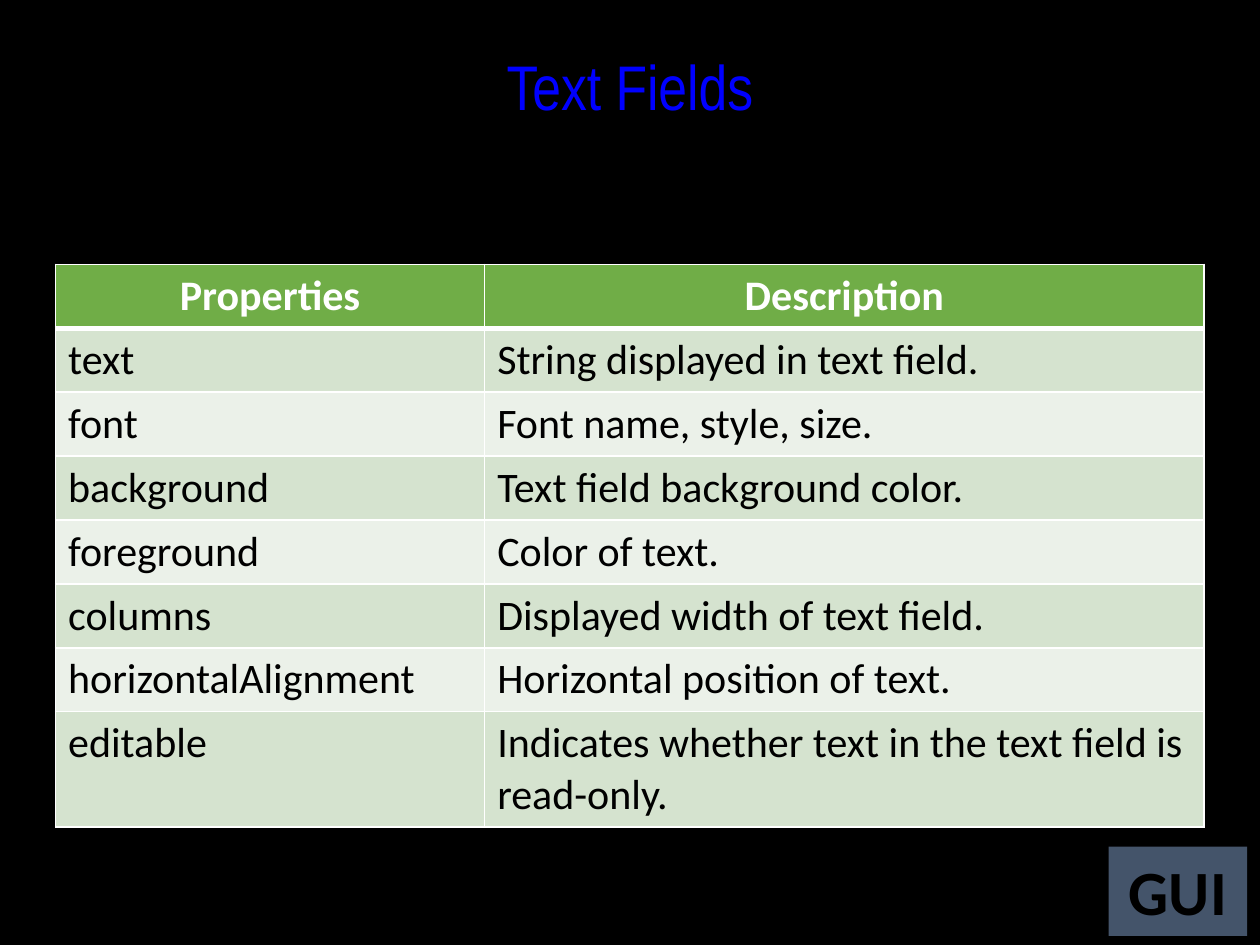
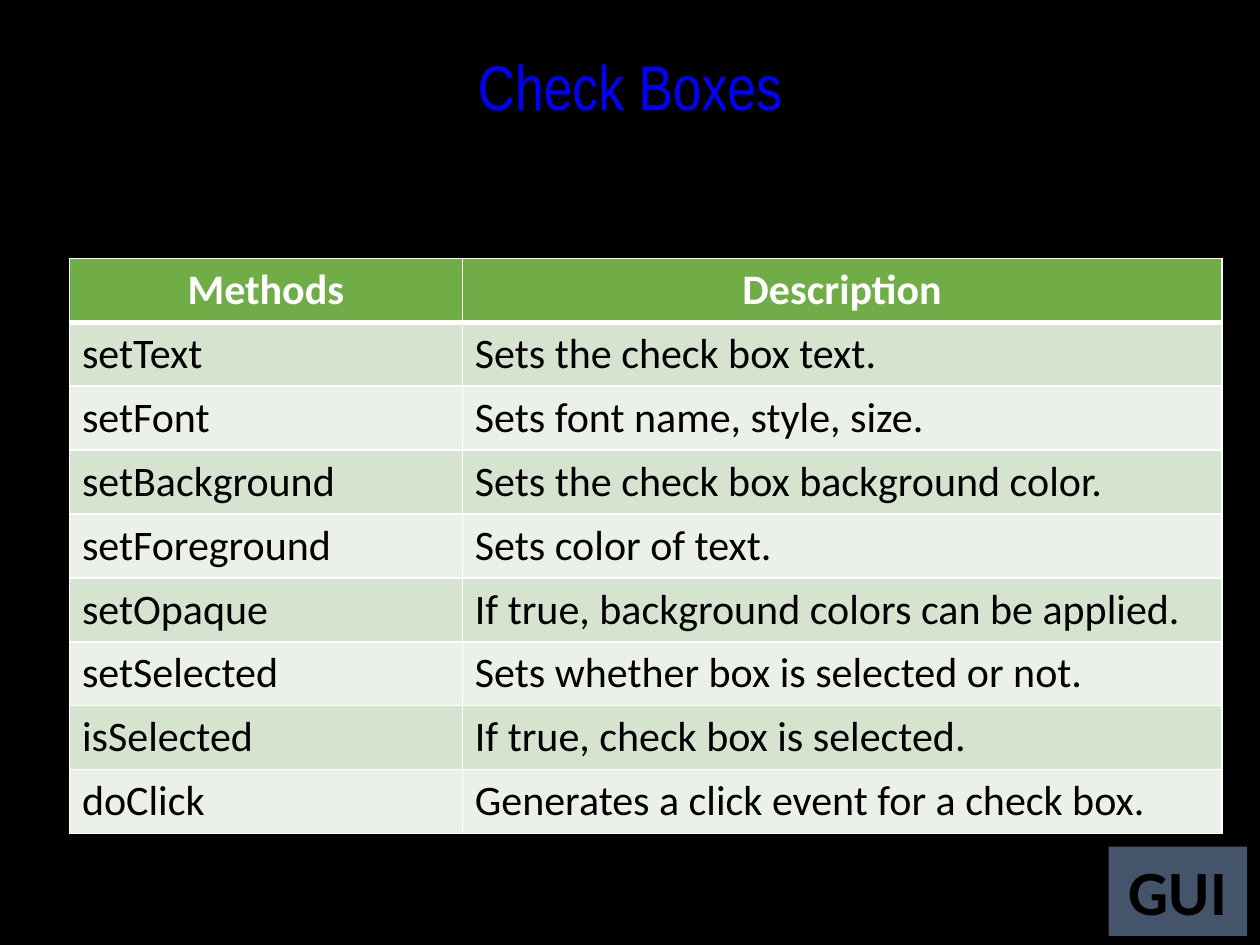
from dataclasses import dataclass

from lxml import etree
from pptx import Presentation
from pptx.dml.color import RGBColor
from pptx.enum.shapes import MSO_SHAPE
from pptx.enum.text import MSO_ANCHOR, MSO_AUTO_SIZE, PP_ALIGN
from pptx.oxml.ns import qn
from pptx.util import Cm, Pt

RECT = MSO_SHAPE.RECTANGLE
TOP = MSO_ANCHOR.TOP
NO_FIT = MSO_AUTO_SIZE.NONE
LEFT, MID = PP_ALIGN.LEFT, PP_ALIGN.CENTER
TITLE_ONLY = 5


@dataclass(frozen=True)
class Theme:
    back: str = "000000"
    ink: str = "000000"
    white: str = "FFFFFF"
    title: str = "0000FF"
    glow: str = "FFFF00"
    badge: str = "44546A"
    head: str = "70AD47"
    bands: tuple[str, str] = ("D5E3CF", "EBF1E9")
    font: str = "Calibri"
    title_font: str = "Arial Narrow"
    big: int = 36
    small: int = 24
    thin: float = 1
    thick: float = 3
    edge: float = 0.75


@dataclass(frozen=True)
class Grid:
    """A titled table; lengths are in centimetres."""
    title: str
    left: float
    top: float
    cols: tuple[float, float]
    rows: tuple[tuple[str, str], ...]


THEME = Theme()
ROW = 1.27

GRIDS = (
    Grid("Text Fields", 1.12, 5.33, (8.65, 14.5), (
        ("Properties", "Description"),
        ("text", "String displayed in text field."),
        ("font", "Font name, style, size."),
        ("background", "Text field background color."),
        ("foreground", "Color of text."),
        ("columns", "Displayed width of text field."),
        ("horizontalAlignment", "Horizontal position of text."),
        ("editable", "Indicates whether text in the text field is read-only."),
    )),
    Grid("Check Boxes", 1.4, 5.21, (7.92, 15.31), (
        ("Methods", "Description"),
        ("setText", "Sets the check box text."),
        ("setFont", "Sets font name, style, size."),
        ("setBackground", "Sets the check box background color."),
        ("setForeground", "Sets color of text."),
        ("setOpaque", "If true, background colors can be applied."),
        ("setSelected", "Sets whether box is selected or not."),
        ("isSelected", "If true, check box is selected."),
        ("doClick", "Generates a click event for a check box."),
    )),
)


def paint(fill, color: str) -> None:
    fill.solid()
    fill.fore_color.rgb = RGBColor.from_string(color)


def write(frame, text: str, *, size: int = THEME.small, font: str = THEME.font,
          color: str = THEME.ink, bold: bool = False, align=LEFT):
    para = frame.paragraphs[0]
    para.alignment = align
    run = para.add_run()
    run.text = text
    run.font.size, run.font.name, run.font.bold = Pt(size), font, bold
    run.font.color.rgb = RGBColor.from_string(color)
    return run


def make_line(tag: str, color: str, width: float):
    line = etree.Element(qn(tag), w=str(Pt(width)))
    fill = etree.SubElement(line, qn("a:solidFill"))
    etree.SubElement(fill, qn("a:srgbClr"), val=color)
    return line


def add_title(slide, text: str) -> None:
    title = slide.shapes.title
    title.left, title.top = Cm(2.54), Cm(0.84)
    title.width, title.height = Cm(20.32), Cm(3.61)
    frame = title.text_frame
    frame.auto_size, frame.word_wrap = NO_FIT, False
    frame.vertical_anchor = TOP
    run = write(frame, text, size=THEME.big, font=THEME.title_font,
                color=THEME.title, align=MID)
    run.font._element.insert(0, make_line("a:ln", THEME.glow, THEME.edge))


def add_badge(slide) -> None:
    badge = slide.shapes.add_shape(RECT, Cm(22.35), Cm(17.07), Cm(2.79), Cm(1.8))
    badge.shadow.inherit = False
    paint(badge.fill, THEME.badge)
    badge.line.fill.background()
    badge.text_frame.vertical_anchor = TOP
    write(badge.text_frame, "GUI", size=THEME.big, bold=True, align=MID)


def set_edges(cell, row: int) -> None:
    """Draw white borders, with a thick rule under the header row."""
    widths = {
        "L": THEME.thin,
        "R": THEME.thin,
        "T": THEME.thick if row == 1 else THEME.thin,
        "B": THEME.thick if row == 0 else THEME.thin,
    }
    props = cell._tc.get_or_add_tcPr()
    for spot, (side, width) in enumerate(widths.items()):
        props.insert(spot, make_line(f"a:ln{side}", THEME.white, width))


def add_grid(slide, grid: Grid) -> None:
    count = len(grid.rows)
    table = slide.shapes.add_table(
        count, len(grid.cols), Cm(grid.left), Cm(grid.top),
        Cm(sum(grid.cols)), Cm(ROW * count)).table
    for col, width in zip(table.columns, grid.cols):
        col.width = Cm(width)
    for i, texts in enumerate(grid.rows):
        table.rows[i].height = Cm(ROW)
        for j, text in enumerate(texts):
            cell = table.cell(i, j)
            if i == 0:
                paint(cell.fill, THEME.head)
                write(cell.text_frame, text, color=THEME.white, bold=True, align=MID)
            else:
                paint(cell.fill, THEME.bands[(i - 1) % 2])
                write(cell.text_frame, text)
            set_edges(cell, i)


def main() -> None:
    prs = Presentation()
    prs.slide_width, prs.slide_height = Cm(25.4), Cm(19.05)
    paint(prs.slide_master.background.fill, THEME.back)
    for grid in GRIDS:
        slide = prs.slides.add_slide(prs.slide_layouts[TITLE_ONLY])
        add_badge(slide)
        add_title(slide, grid.title)
        add_grid(slide, grid)
    prs.save("out.pptx")


if __name__ == "__main__":
    main()
